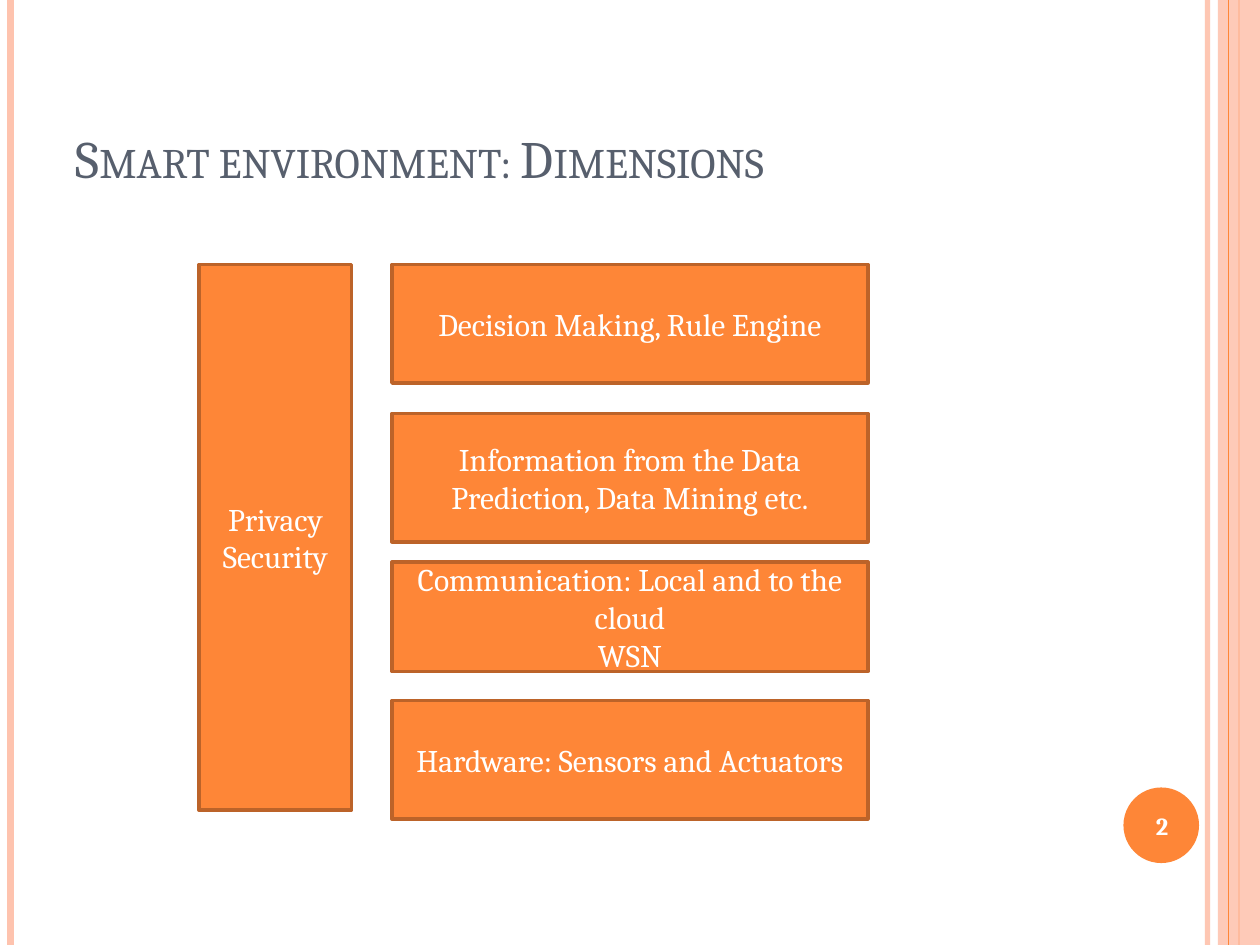
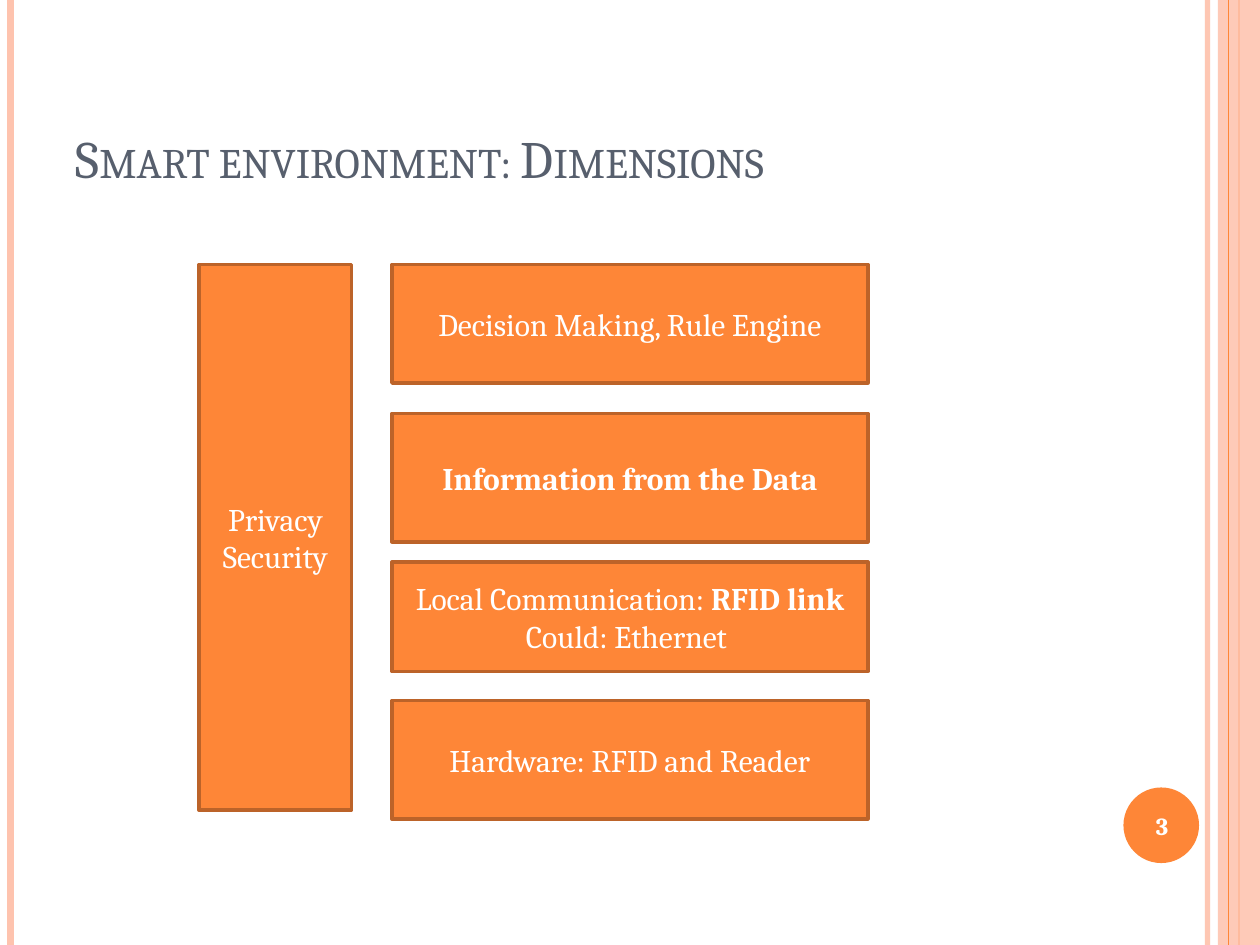
import pptx
import pptx.dml.color
import pptx.enum.shapes
import pptx.enum.text
import pptx.oxml.ns
import pptx.util
from lxml import etree

Pt = pptx.util.Pt
SHAPE = pptx.enum.shapes.MSO_SHAPE
ANCHOR = pptx.enum.text.MSO_ANCHOR
ALIGN = pptx.enum.text.PP_ALIGN
qn = pptx.oxml.ns.qn

WIDTH, HEIGHT = 720, 540
COLORS = {
    "peach": "FEC3AE",
    "orange": "FE8637",
    "border": "BC6329",
    "slate": "575F6D",
    "white": "FFFFFF",
}
FONTS = {
    "title": {"name": "Cambria", "size": Pt(30), "bold": False},
    "block": {"name": "Cambria", "size": Pt(18), "bold": False},
    "number": {"name": "Cambria", "size": Pt(14), "bold": True},
}
FRAMES = {
    "title": {"vertical_anchor": ANCHOR.BOTTOM, "word_wrap": True,
              "auto_size": pptx.enum.text.MSO_AUTO_SIZE.NONE},
    "block": {"vertical_anchor": ANCHOR.MIDDLE, "word_wrap": True},
    "number": {"vertical_anchor": ANCHOR.MIDDLE, "word_wrap": True},
}

TITLE = "Smart environment: Dimensions"
PILLAR = ["Privacy", "Security"]
PILLAR_BOX = (113.8, 151.2, 87.1, 311.8)
LAYER_LEFT, LAYER_WIDTH = 224, 272
LAYER_ROWS = [(151.2, 67.7), (236.2, 73.4), (321.1, 62.6), (400.3, 67.7)]
SLIDES = [
    (2, [
        ["Decision Making, Rule Engine"],
        ["Information from the Data", "Prediction, Data Mining etc."],
        ["Communication: Local and to the cloud", "WSN"],
        ["Hardware: Sensors and Actuators"],
    ]),
    (3, [
        ["Decision Making, Rule Engine"],
        [[("Information from the Data", True)]],
        [[("Local Communication: ", False), ("RFID link", True)], "Could: Ethernet "],
        ["Hardware: RFID and Reader"],
    ]),
]


def rgb(color):
    return pptx.dml.color.RGBColor.from_string(COLORS[color])


def set_values(target, values):
    for name, value in values.items():
        setattr(target, name, value)


def set_opacity(element, percent):
    color = element.find(".//" + qn("a:srgbClr"))
    etree.SubElement(color, qn("a:alpha")).set("val", str(percent * 1000))


class Deck:
    def __init__(self):
        self.presentation = pptx.Presentation()
        self.presentation.slide_width = Pt(WIDTH)
        self.presentation.slide_height = Pt(HEIGHT)
        self.slide = None

    def start_slide(self, number):
        self.slide = self.presentation.slides.add_slide(self.presentation.slide_layouts[5])
        self.rule(690, 3, "peach", 93)
        self.rule(6, 4.5, "peach")
        self.rule(708, 1.5, "orange")
        band = self.shape(SHAPE.RECTANGLE, (696, 0, 24, HEIGHT), "peach")
        set_opacity(band.element, 87)
        self.rule(702, 0.75, "orange")
        self.shape(SHAPE.OVAL, (642, 450, 43.2, 43.2), "orange")
        self.number(number)

    def rule(self, x, weight, color, opacity=100):
        rule = self.slide.shapes.add_connector(
            pptx.enum.shapes.MSO_CONNECTOR.STRAIGHT, Pt(x), Pt(0), Pt(x), Pt(HEIGHT))
        rule.line.width = Pt(weight)
        rule.line.color.rgb = rgb(color)
        if opacity < 100:
            set_opacity(rule.element, opacity)
        etree.SubElement(rule.element.spPr, qn("a:effectLst"))

    def shape(self, kind, box, fill, border=None):
        shape = self.slide.shapes.add_shape(kind, *map(Pt, box))
        shape.shadow.inherit = False
        shape.fill.solid()
        shape.fill.fore_color.rgb = rgb(fill)
        if border:
            shape.line.color.rgb = rgb(border)
            shape.line.width = Pt(2)
        else:
            shape.line.fill.background()
        return shape

    def text(self, frame, style, lines, color, align):
        set_values(frame, FRAMES[style])
        for index, line in enumerate(lines):
            paragraph = frame.add_paragraph() if index else frame.paragraphs[0]
            paragraph.alignment = align
            runs = [(line, FONTS[style]["bold"])] if isinstance(line, str) else line
            for words, bold in runs:
                run = paragraph.add_run()
                run.text = words
                set_values(run.font, {**FONTS[style], "bold": bold})
                run.font.color.rgb = rgb(color)

    def title(self, words):
        title = self.slide.shapes.title
        set_values(title, {"left": Pt(36), "top": Pt(21.6), "width": Pt(588), "height": Pt(90)})
        self.text(title.text_frame, "title", [words], "slate", ALIGN.LEFT)
        title.element.find(".//" + qn("a:rPr")).set("cap", "small")

    def block(self, box, lines):
        block = self.shape(SHAPE.RECTANGLE, box, "orange", "border")
        self.text(block.text_frame, "block", lines, "white", ALIGN.CENTER)

    def number(self, number):
        badge = self.slide.shapes.add_textbox(Pt(640), Pt(451.4), Pt(48.2), Pt(41))
        self.text(badge.text_frame, "number", [str(number)], "white", ALIGN.CENTER)


def main():
    deck = Deck()
    for number, layers in SLIDES:
        deck.start_slide(number)
        deck.title(TITLE)
        for (top, height), lines in zip(LAYER_ROWS, layers):
            deck.block((LAYER_LEFT, top, LAYER_WIDTH, height), lines)
        deck.block(PILLAR_BOX, PILLAR)
    deck.presentation.save("out.pptx")


if __name__ == "__main__":
    main()
